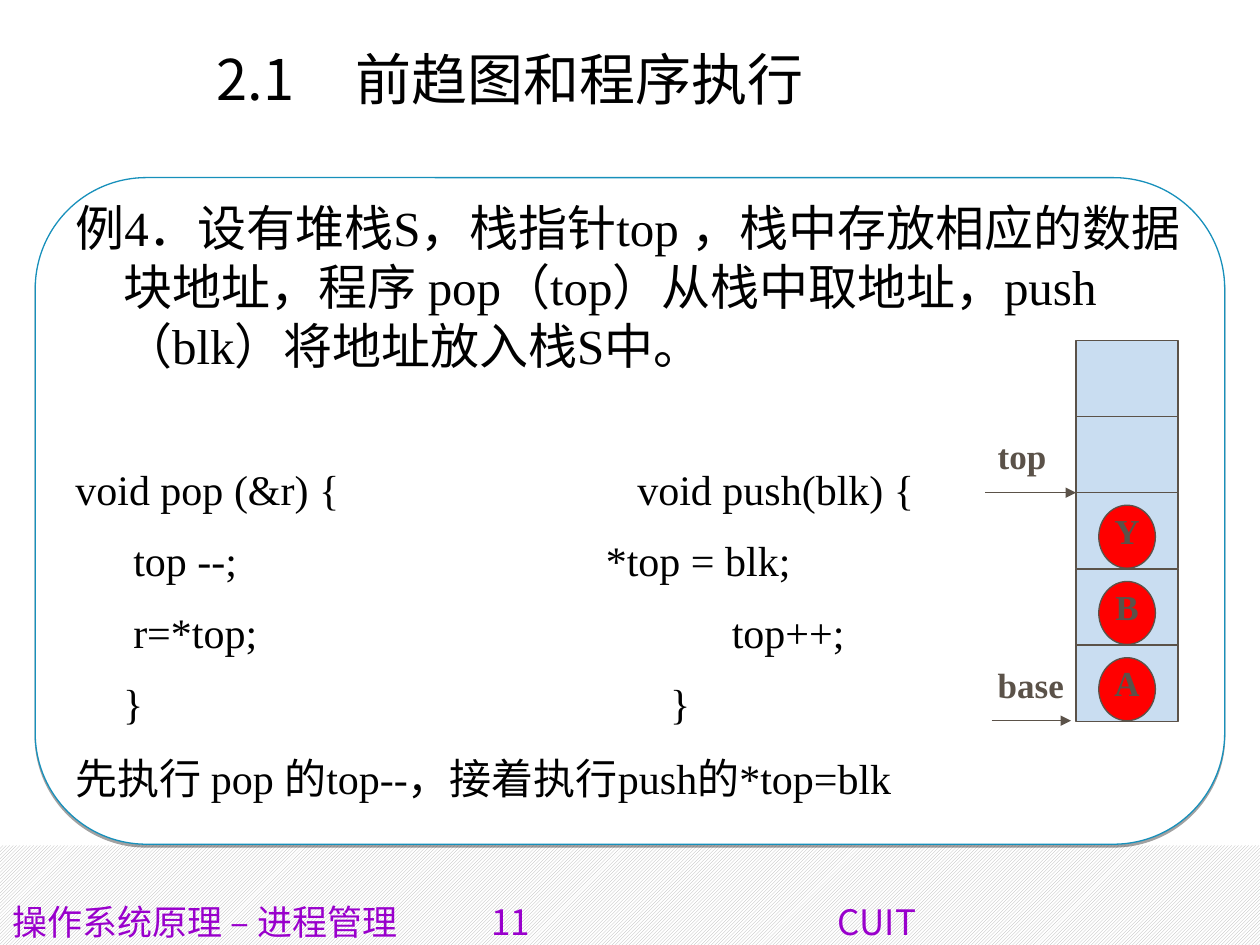
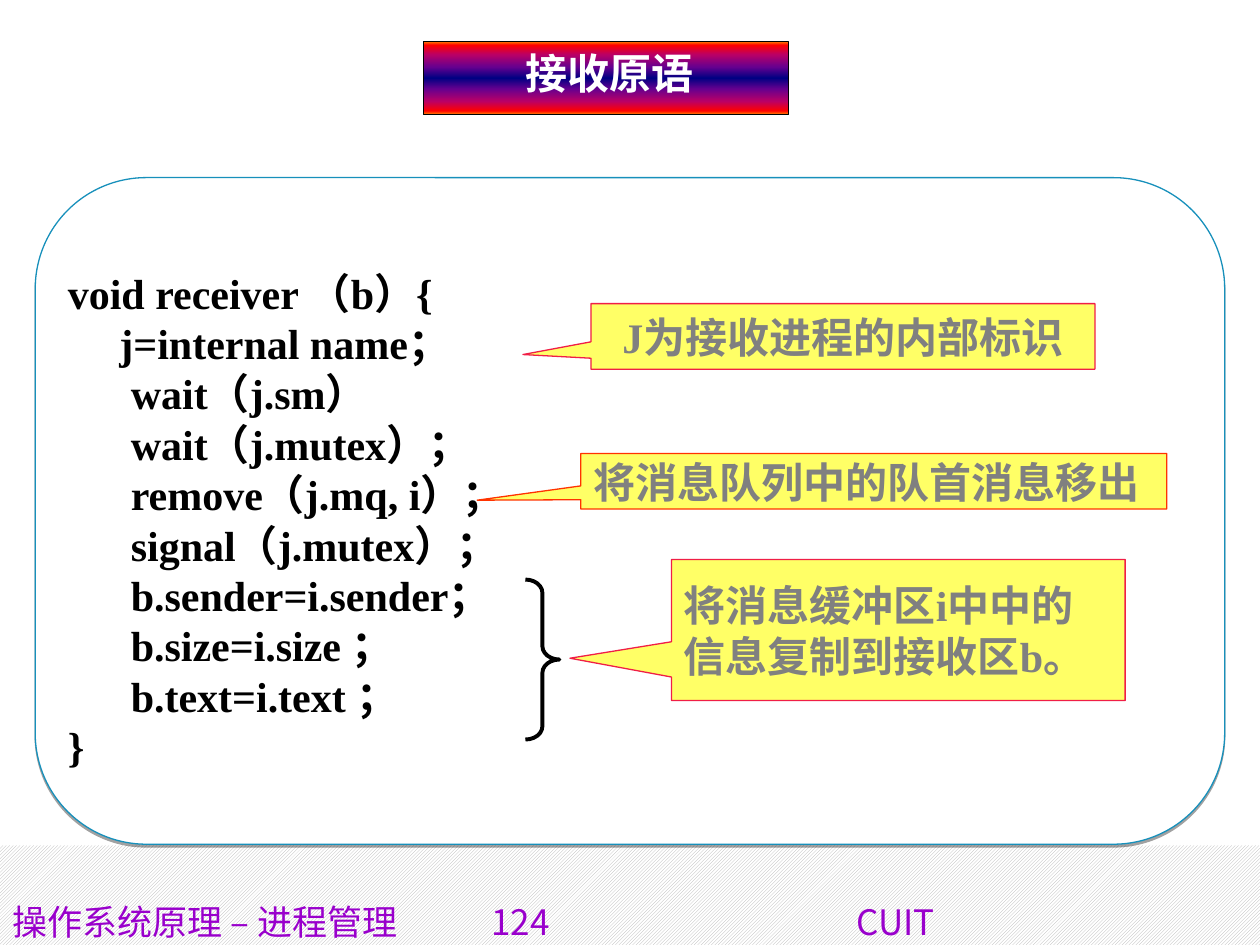
from lxml.etree import SubElement
from pptx import Presentation
from pptx.dml.color import RGBColor
from pptx.enum.dml import MSO_PATTERN
from pptx.enum.lang import MSO_LANGUAGE_ID
from pptx.enum.shapes import MSO_CONNECTOR, MSO_SHAPE
from pptx.enum.text import MSO_ANCHOR, MSO_AUTO_SIZE, PP_ALIGN
from pptx.oxml.ns import qn
from pptx.util import Inches, Pt

BLACK = RGBColor(0x00, 0x00, 0x00)
WHITE = RGBColor(0xFF, 0xFF, 0xFF)
PURPLE = RGBColor(0x99, 0x00, 0xCC)
HATCH_GRAY = RGBColor(0xB2, 0xB2, 0xB2)
PANEL_BLUE = RGBColor(0x17, 0x90, 0xBB)
STACK_BLUE = RGBColor(0xC9, 0xDD, 0xF1)
BROWN = RGBColor(0x5B, 0x52, 0x49)
RED = RGBColor(0xFF, 0x00, 0x00)
YELLOW = RGBColor(0xFF, 0xFF, 0x66)
CRIMSON = RGBColor(0xF0, 0x1E, 0x46)
ORANGE_RED = RGBColor(0xFF, 0x33, 0x00)
NOTE_GRAY = RGBColor(0x80, 0x80, 0x80)

SERIF = "Times New Roman"
SANS_SC = "Noto Sans CJK SC"
SANS_KR = "Noto Sans CJK KR"

# One half of the mirrored title gradient: position in percent, colour
HALF_GRADIENT = [(0, "FF8200"), (5, "FF0000"), (18, "BA0066"), (35, "66008F")]
GRADIENT = (HALF_GRADIENT + [(50, "000082")]
            + [(100 - stop, color) for stop, color in reversed(HALF_GRADIENT)])


def write_text(frame, lines, size=24, font=SERIF, color=BLACK, bold=False,
               align=PP_ALIGN.LEFT, anchor=MSO_ANCHOR.TOP, after=0,
               hanging=0, wrap=True):
    """Fill a frame; each line is a string or an (indent, string) pair."""
    frame.word_wrap = wrap
    frame.auto_size = MSO_AUTO_SIZE.NONE
    frame.vertical_anchor = anchor
    if isinstance(lines, str):
        lines = [lines]
    for number, line in enumerate(lines):
        indent, text = (hanging, line) if isinstance(line, str) else line
        para = frame.paragraphs[0] if number == 0 else frame.add_paragraph()
        para.alignment = align
        para.space_before = Pt(0)
        para.space_after = Pt(after)
        if font == SERIF:
            para.line_spacing = Pt(size * 1.2)
        properties = para._p.get_or_add_pPr()
        properties.set("marL", str(Inches(indent)))
        properties.set("indent", str(-Inches(hanging)))
        span = para.add_run()
        span.text = text
        span.font.size = Pt(size)
        span.font.bold = bold
        span.font.color.rgb = color
        span.font.name = font
        span.font.language_id = MSO_LANGUAGE_ID.SIMPLIFIED_CHINESE
        # Chinese characters stay sans serif beside serif Latin letters
        SubElement(span._r.get_or_add_rPr(), qn("a:ea"),
                   typeface=SANS_SC if font == SERIF else font)


class CourseDeck:
    """Holds the shared style and the current slide."""

    def __init__(self):
        self.deck = Presentation()
        self.deck.slide_width = Inches(10)
        self.deck.slide_height = Inches(7.5)
        self.page = None

    def new_page(self, number, school_left):
        self.page = self.deck.slides.add_slide(self.deck.slide_layouts[5])
        # Hatched band
        band = self.shape(MSO_SHAPE.RECTANGLE, 0, 6.71, 10, 0.79)
        band.fill.patterned()
        band.fill.pattern = MSO_PATTERN.DARK_UPWARD_DIAGONAL
        band.fill.fore_color.rgb = HATCH_GRAY
        band.fill.back_color.rgb = WHITE
        # Rounded panel with a thin shadow below
        panel = self.shape(MSO_SHAPE.ROUNDED_RECTANGLE, 0.28, 1.41, 9.44, 5.29,
                           fill=WHITE, line=PANEL_BLUE)
        effects = panel._element.spPr.find(qn("a:effectLst"))
        shadow = SubElement(effects, qn("a:outerShdw"), blurRad="0",
                            dist=str(Pt(1.6)), dir="5400000", rotWithShape="0")
        shade = SubElement(shadow, qn("a:srgbClr"), val="000000")
        SubElement(shade, qn("a:alpha"), val="37000")
        # Footer
        for text, left, width, font in [
                ("操作系统原理 – 进程管理", 0, 3.8, SANS_SC),
                (str(number), 3.8, 1, SANS_KR),
                ("CUIT", school_left, 1.2, SANS_KR)]:
            self.text(text, left, 7.1, width, 0.4, size=20, font=font, color=PURPLE)

    def title(self, text, left, top, width, height, **style):
        title = self.page.shapes.title
        title.left, title.top = Inches(left), Inches(top)
        title.width, title.height = Inches(width), Inches(height)
        write_text(title.text_frame, text, align=PP_ALIGN.CENTER, **style)
        return title

    def title_bar(self, text, left, top, width, height):
        bar = self.title(text, left, top, width, height, color=WHITE, bold=True)
        bar.text_frame.margin_left = Inches(0.16)
        bar.line.color.rgb = BLACK
        bar.line.width = Pt(0.75)
        bar.fill.gradient()
        bar.fill.gradient_angle = 90
        stops = bar._element.spPr.find(qn("a:gradFill")).find(qn("a:gsLst"))
        for stop in list(stops):
            stops.remove(stop)
        for position, color in GRADIENT:
            stop = SubElement(stops, qn("a:gs"), pos=str(position * 1000))
            SubElement(stop, qn("a:srgbClr"), val=color)

    def text(self, lines, left, top, width, height, **style):
        box = self.page.shapes.add_textbox(
            Inches(left), Inches(top), Inches(width), Inches(height))
        write_text(box.text_frame, lines, **style)

    def shape(self, kind, left, top, width, height, fill=None, line=None,
              weight=0.75, adjust=()):
        shape = self.page.shapes.add_shape(
            kind, Inches(left), Inches(top), Inches(width), Inches(height))
        shape.shadow.inherit = False
        for index, value in enumerate(adjust):
            shape.adjustments[index] = value
        if fill is None:
            shape.fill.background()
        else:
            shape.fill.solid()
            shape.fill.fore_color.rgb = fill
        if line is None:
            shape.line.fill.background()
        else:
            shape.line.color.rgb = line
            shape.line.width = Pt(weight)
        return shape

    def callout(self, text, left, top, width, height, pointer,
                line=CRIMSON, align=PP_ALIGN.LEFT):
        note = self.shape(MSO_SHAPE.RECTANGULAR_CALLOUT, left, top, width,
                          height, fill=YELLOW, line=line, adjust=pointer)
        write_text(note.text_frame, text, color=NOTE_GRAY, bold=True,
                   align=align, anchor=MSO_ANCHOR.MIDDLE)

    def arrow(self, start, end, y):
        arrow = self.page.shapes.add_connector(
            MSO_CONNECTOR.STRAIGHT, Inches(start), Inches(y), Inches(end), Inches(y))
        arrow.line.color.rgb = BROWN
        arrow.line.width = Pt(0.75)
        SubElement(arrow.line._get_or_add_ln(), qn("a:tailEnd"), type="triangle")
        SubElement(arrow._element.spPr, qn("a:effectLst"))

    def stack(self, left, top, width, cell_height, items):
        """Draw cells from top to bottom; None leaves a cell empty."""
        for row, item in enumerate(items):
            cell_top = top + row * cell_height
            self.shape(MSO_SHAPE.RECTANGLE, left, cell_top, width, cell_height,
                       fill=STACK_BLUE, line=BROWN)
            if item is None:
                continue
            disc = self.shape(MSO_SHAPE.OVAL, left + 0.18, cell_top + 0.1,
                              0.45, 0.5, fill=RED, line=BROWN)
            frame = disc.text_frame
            frame.margin_left = frame.margin_right = frame.margin_top = 0
            frame.margin_bottom = Inches(0.1)
            write_text(frame, item, size=20, color=BROWN, bold=True,
                       align=PP_ALIGN.CENTER, anchor=MSO_ANCHOR.MIDDLE, wrap=False)


def build_stack_example(course):
    course.new_page(11, school_left=6.55)
    course.title("2.1\t 前趋图和程序执行", 0.5, 0.3, 7.1, 1.25, size=32, font=SANS_KR)
    course.text("例4．设有堆栈S，栈指针top ，栈中存放相应的数据块地址，程序 pop（top）"
                "从栈中取地址，push（blk）将地址放入栈S中。",
                0.5, 1.52, 9, 1.6, size=28, hanging=0.38)

    # The two procedures side by side, then the order of execution
    code_top = 3.63
    course.text(["void pop (&r) {", (0.46, "top --;"), (0.46, "r=*top;"), (0.38, "}")],
                0.5, code_top, 3.5, 2.27, after=12)
    course.text([(0.25, "void push(blk) {"), "*top = blk;", (1, "top++;"), (0.51, "}")],
                4.71, code_top, 3.1, 2.27, after=12)
    course.text("先执行 pop 的top--，接着执行push的*top=blk", 0.5, 5.92, 9, 0.6)

    # Stack with its two pointers
    course.stack(8.54, 2.7, 0.81, 0.605, [None, None, "Y", "B", "A"])
    for label, label_top, start, end, y in [("top", 3.4, 7.82, 8.54, 3.91),
                                            ("base", 5.22, 7.87, 8.5, 5.72)]:
        course.arrow(start, end, y)
        course.text(label, 7.82, label_top, 0.73, 0.43,
                    size=20, color=BROWN, bold=True, wrap=False)


def build_receive_primitive(course):
    course.new_page(124, school_left=6.7)
    course.title_bar("接收原语", 3.36, 0.33, 2.9, 0.58)

    # Procedure
    steps = ["wait（j.sm）", "wait（j.mutex）；", "remove（j.mq, i）；",
             "signal（j.mutex）；", "b.sender=i.sender；", "b.size=i.size ；",
             "b.text=i.text ；"]
    course.text(["void receiver （b）{", (0.41, "j=internal name；")]
                + [(0.5, step) for step in steps] + ["}"],
                0.44, 2.05, 9.17, 4.14, bold=True, anchor=MSO_ANCHOR.MIDDLE)

    # Explanations
    course.callout("J为接收进程的内部标识", 4.69, 2.41, 4, 0.52,
                   pointer=(-0.635, 0.277), align=PP_ALIGN.CENTER)
    course.callout("将消息缓冲区i中中的信息复制到接收区b。", 5.33, 4.44, 3.6, 1.12,
                   pointer=(-0.724, 0.2))
    course.shape(MSO_SHAPE.RIGHT_BRACE, 4.17, 4.6, 0.27, 1.27,
                 line=BLACK, weight=2.25, adjust=(0.391, 0.5))
    course.callout("将消息队列中的队首消息移出", 4.61, 3.6, 4.65, 0.44,
                   pointer=(-0.677, 0.341), line=ORANGE_RED)


def main():
    course = CourseDeck()
    build_stack_example(course)
    build_receive_primitive(course)
    course.deck.save("out.pptx")


if __name__ == "__main__":
    main()
